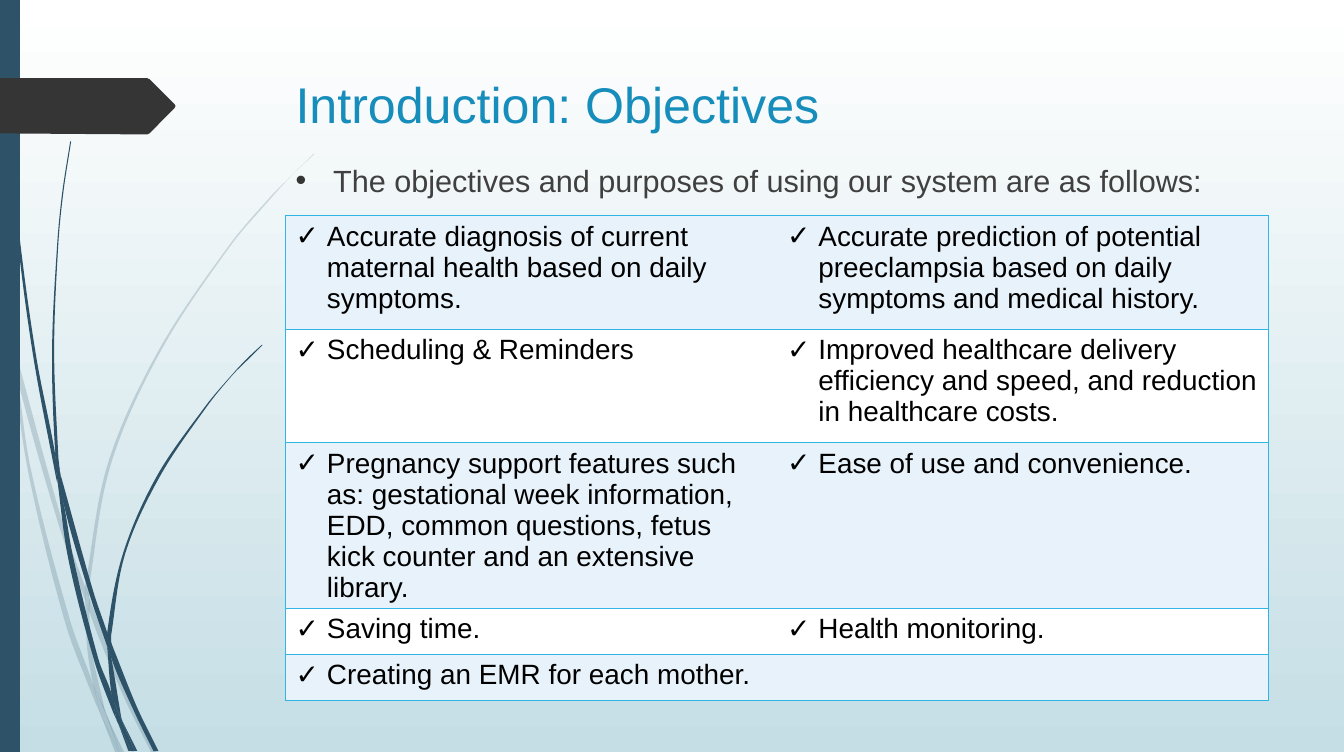
from lxml import etree
from pptx import Presentation
from pptx.dml.color import RGBColor
from pptx.enum.shapes import MSO_SHAPE as Preset
from pptx.enum.text import MSO_ANCHOR as Anchor, MSO_AUTO_SIZE as AutoSize, PP_ALIGN as Align
from pptx.oxml.ns import qn
from pptx.util import Pt

HEADING = "Introduction: Objectives"
LEAD_IN = "The objectives and purposes of using our system are as follows:"
OBJECTIVES = [
    ("Accurate diagnosis of current maternal health based on daily symptoms.",
     "Accurate prediction of potential preeclampsia based on daily symptoms and medical history."),
    ("Scheduling & Reminders",
     "Improved healthcare delivery efficiency and speed, and reduction in healthcare costs."),
    ("Pregnancy support features such as: gestational week information, EDD, "
     "common questions, fetus kick counter and an extensive library.",
     "Ease of use and convenience."),
    ("Saving time.", "Health monitoring."),
    ("Creating an EMR for each mother.", ""),
]
ROW_HEIGHTS = [81.5, 81.5, 105.8, 33.1, 33.1]

FONT = "Arial"
WHITE = RGBColor(0xFF, 0xFF, 0xFF)
BLACK = RGBColor(0, 0, 0)
MIST = RGBColor(0xC5, 0xDE, 0xE5)
NAVY = RGBColor(0x2E, 0x53, 0x69)
CHARCOAL = RGBColor(0x35, 0x35, 0x35)
GREY = RGBColor(0x40, 0x40, 0x40)
BLUE = RGBColor(0x17, 0x8D, 0xBB)
BAND = RGBColor(0xE8, 0xF2, 0xFA)
BORDER = RGBColor(0x31, 0xB4, 0xE6)

WIDTH, HEIGHT = 964.8, 540
CONTENT_LEFT, CONTENT_WIDTH = 205, 705.6
TABLE_TOP = 155

# Each blade is its left edge and its right edge, both from top to bottom.
PALE_GRASS = [
    ([(0, 203), (0, 215.3), (7.2, 247.7), (7.9, 252)], [(0, 203), (6.5, 231.8), (7.9, 252)]),
    ([(10.1, 248.4), (12.2, 270.7), (41.8, 375.8), (61.2, 431.3)],
     [(10.1, 248.4), (44.6, 374.4), (61.2, 421.9)]),
    ([(64.1, 429.1), (64.1, 439.2), (88.6, 499.7), (108.7, 540.7)],
     [(64.1, 429.1), (67, 437), (92.2, 498.2), (112.3, 540.7)]),
    ([(75.6, 511.9), (86.4, 540.7)], [(75.6, 511.9), (89.3, 540.7)]),
    ([(7.9, 252), (20.2, 338.4), (46.8, 447.1), (66.2, 499), (72.7, 514.1)],
     [(7.9, 252), (12.2, 270.7), (22.3, 337.7), (50.4, 445.7), (67, 491.8), (71.3, 509), (72.7, 514.1)]),
    ([(61.2, 431.3), (62.6, 465.1), (67, 491.8), (69.8, 498.2), (75.6, 511.9)],
     [(61.2, 431.3), (63.4, 437.8), (64.1, 439.2), (65.5, 465.1), (74.9, 508.3), (75.6, 511.9)]),
    ([(225.4, 110.2), (209.5, 126), (193.7, 141.8), (164.9, 175.7), (114.5, 250.6),
      (77.8, 331.9), (61.2, 420.5), (61.2, 421.9), (64.1, 429.1)],
     [(225.4, 110.9), (209.5, 126), (194.4, 142.6), (165.6, 176.4), (115.9, 251.3),
      (79.9, 332.6), (64.1, 420.5), (64.1, 429.1)]),
    ([(72.7, 514.1), (82.8, 540.7)], [(72.7, 514.1), (85.7, 540.7)]),
    ([(61.2, 421.9), (61.2, 431.3), (63.4, 437.8), (64.1, 439.2)],
     [(61.2, 421.9), (64.1, 429.1), (64.1, 439.2)]),
    ([(67, 491.8), (71.3, 509), (72.7, 514.1), (85.7, 540.7)],
     [(67, 491.8), (69.8, 498.2), (76.3, 511.9), (86.4, 540.7)]),
]
DARK_GRASS = [
    ([(2.2, 0), (2.9, 34.6), (5, 79.2), (12.2, 167.8), (23.8, 255.6), (40.3, 343.4), (41, 346.3)],
     [(2.9, 0), (3.6, 34.6), (5.8, 78.5), (13.7, 167), (25.9, 255.6), (39.6, 326.2), (41, 346.3)]),
    ([(43.2, 339.8), (46.1, 363.6), (64.1, 426.2), (77, 464.4)],
     [(43.2, 339.8), (67, 424.8), (77, 454.3), (77, 455.8)]),
    ([(79.9, 461.5), (79.9, 472.3), (95.8, 509.8), (110.2, 539.3)],
     [(79.9, 461.5), (82.1, 467.3), (98.6, 508.3), (113.8, 539.3)]),
    ([(41, 343.4), (49, 401), (67.7, 474.5), (80.6, 509.8), (85, 519.8)],
     [(41, 343.4), (46.1, 363.6), (52.6, 400.3), (70.6, 473), (79.9, 497.5), (83.5, 516.2), (85, 519.8)]),
    ([(50.4, 101.5), (44.6, 139), (41, 176.4), (37.4, 251.3), (39.6, 323.3), (43.2, 339.8)],
     [(51.1, 101.5), (45.4, 139), (41.8, 176.4), (38.9, 251.3), (41.8, 326.2), (43.2, 339.8)]),
    ([(87.8, 517.7), (96.5, 539.3)], [(87.8, 517.7), (98.6, 539.3)]),
    ([(39.6, 323.3), (39.6, 326.2), (41, 343.4), (46.1, 363.6)],
     [(39.6, 323.3), (43.2, 339.8), (46.1, 363.6)]),
    ([(187.9, 247.7), (177.1, 257.8), (167, 268.6), (147.6, 291.6), (113, 341.3),
      (88.6, 396.7), (77, 454.3), (79.9, 461.5)],
     [(188.6, 247.7), (177.8, 258.5), (167, 269.3), (148.3, 292.3), (114.5, 342.7),
      (90, 397.4), (79.9, 455.8), (79.9, 461.5)]),
    ([(85, 519.8), (92.2, 539.3)], [(85, 519.8), (94.3, 539.3)]),
    ([(77, 464.4), (79.9, 497.5), (83.5, 508.3), (87.8, 517.7)],
     [(77, 464.4), (78.5, 468.7), (79.9, 472.3), (87.1, 515.5), (87.8, 517.7)]),
    ([(77, 454.3), (77, 464.4), (78.5, 468.7), (79.9, 472.3)],
     [(77, 454.3), (79.9, 461.5), (79.9, 472.3)]),
    ([(79.9, 497.5), (83.5, 516.2), (85, 519.8), (94.3, 539.3)],
     [(79.9, 497.5), (83.5, 508.3), (87.8, 517.7), (96.5, 539.3)]),
]
TAG = [(0, 56.2), (98.6, 56.2), (105.8, 56.2), (107.3, 56.9), (125.3, 74.9), (126, 76.1),
       (125.3, 77.6), (107.3, 95.8), (105.8, 96.5), (98.6, 96.5), (0, 95.8)]


def curve_through(knots):
    slopes = []
    for i in range(len(knots)):
        (x0, y0), (x1, y1) = knots[max(i - 1, 0)], knots[min(i + 1, len(knots) - 1)]
        slopes.append((x1 - x0) / (y1 - y0))
    points = [knots[0]]
    for (x0, y0), (x1, y1), s0, s1 in zip(knots, knots[1:], slopes, slopes[1:]):
        third = (y1 - y0) / 3
        points += [(x0 + s0 * third, y0 + third), (x1 - s1 * third, y1 - third), (x1, y1)]
    return points


def paint(shape, color, opacity=100):
    shape.shadow.inherit = False
    shape.line.fill.background()
    shape.fill.solid()
    shape.fill.fore_color.rgb = color
    if opacity < 100:
        tint = shape._element.spPr.find(f"{qn('a:solidFill')}/{qn('a:srgbClr')}")
        etree.SubElement(tint, qn("a:alpha"), val=str(opacity * 1000))


def draw_outline(shapes, points, color, opacity=100):
    corners = [(Pt(x), Pt(y)) for x, y in points]
    builder = shapes.build_freeform(*corners[0])
    builder.add_line_segments(corners[1:], close=True)
    outline = builder.convert_to_shape()
    paint(outline, color, opacity)
    return outline


def draw_blade(shapes, left, right, opacity):
    down, up = curve_through(left), curve_through(right)[::-1]
    blade = draw_outline(shapes, down + up, NAVY, opacity)
    lines = list(blade._element.iter(qn("a:lnTo")))
    starts = [*range(0, len(down) - 1, 3), *range(len(down), len(lines), 3)]
    for start in starts:
        curve = etree.Element(qn("a:cubicBezTo"))
        lines[start].addprevious(curve)
        for line in lines[start:start + 3]:
            curve.append(line[0])
            line.getparent().remove(line)


def write(frame, text, *, size, color, bullet=None, bullet_color=None, indent=0, before=0):
    frame.word_wrap = True
    paragraph = frame.paragraphs[0]
    paragraph.alignment = Align.LEFT
    paragraph.space_before = Pt(before)
    run = paragraph.add_run()
    run.text = text
    run.font.name, run.font.size, run.font.color.rgb = FONT, Pt(size), color
    if bullet:
        props = paragraph._p.get_or_add_pPr()
        props.set("marL", str(Pt(indent)))
        props.set("indent", str(-Pt(indent)))
        tint = etree.SubElement(props, qn("a:buClr"))
        etree.SubElement(tint, qn("a:srgbClr"), val=str(bullet_color or color))
        etree.SubElement(props, qn("a:buFont"), typeface=FONT)
        etree.SubElement(props, qn("a:buChar"), char=bullet)


def place(placeholder, top, height):
    placeholder.left, placeholder.top = Pt(CONTENT_LEFT), Pt(top)
    placeholder.width, placeholder.height = Pt(CONTENT_WIDTH), Pt(height)
    placeholder.text_frame.auto_size = AutoSize.NONE
    placeholder.text_frame.vertical_anchor = Anchor.TOP


def outline_cell(cell, visible_sides):
    props = cell._tc.get_or_add_tcPr()
    for side in "LRTB":
        edge = etree.SubElement(props, qn(f"a:ln{side}"), w=str(Pt(1)))
        if side in visible_sides:
            fill = etree.SubElement(edge, qn("a:solidFill"))
            etree.SubElement(fill, qn("a:srgbClr"), val=str(BORDER))
        else:
            etree.SubElement(edge, qn("a:noFill"))


def main():
    deck = Presentation()
    deck.slide_width, deck.slide_height = Pt(WIDTH), Pt(HEIGHT)
    slide = deck.slides.add_slide(deck.slide_layouts[1])
    shapes = slide.shapes
    title, lead_in = shapes.title, slide.placeholders[1]

    sky = slide.background.fill
    sky.gradient()
    sky.gradient_angle = 270
    for stop, position, color in zip(sky.gradient_stops, (0, 1), (WHITE, MIST)):
        stop.position, stop.color.rgb = position, color

    for blades, opacity in ((PALE_GRASS, 20), (DARK_GRASS, 100)):
        tuft = shapes.add_group_shape()
        for left, right in blades:
            draw_blade(tuft.shapes, left, right, opacity)
    paint(shapes.add_shape(Preset.RECTANGLE, 0, 0, Pt(14.4), Pt(HEIGHT)), NAVY)
    draw_outline(shapes, TAG, CHARCOAL)

    for placeholder, top, height in ((title, 49, 100.8), (lead_in, 112.3, 297.4)):
        place(placeholder, top, height)
        shapes._spTree.append(placeholder._element)
    write(title.text_frame, HEADING, size=36, color=BLUE)
    write(lead_in.text_frame, LEAD_IN, size=22, color=GREY, bullet="•",
          bullet_color=CHARCOAL, indent=27, before=10)

    table = shapes.add_table(len(OBJECTIVES), 2, Pt(CONTENT_LEFT), Pt(TABLE_TOP),
                             Pt(CONTENT_WIDTH), Pt(sum(ROW_HEIGHTS))).table
    table.first_row = table.horz_banding = False
    for r, (pair, height) in enumerate(zip(OBJECTIVES, ROW_HEIGHTS)):
        table.rows[r].height = Pt(height)
        for c, objective in enumerate(pair):
            cell = table.cell(r, c)
            outline_cell(cell, ("LTB", "RTB")[c])
            cell.fill.solid()
            cell.fill.fore_color.rgb = WHITE if r % 2 else BAND
            if objective:
                write(cell.text_frame, objective, size=20, color=BLACK, bullet="✓", indent=22.5)

    deck.save("out.pptx")


if __name__ == "__main__":
    main()
